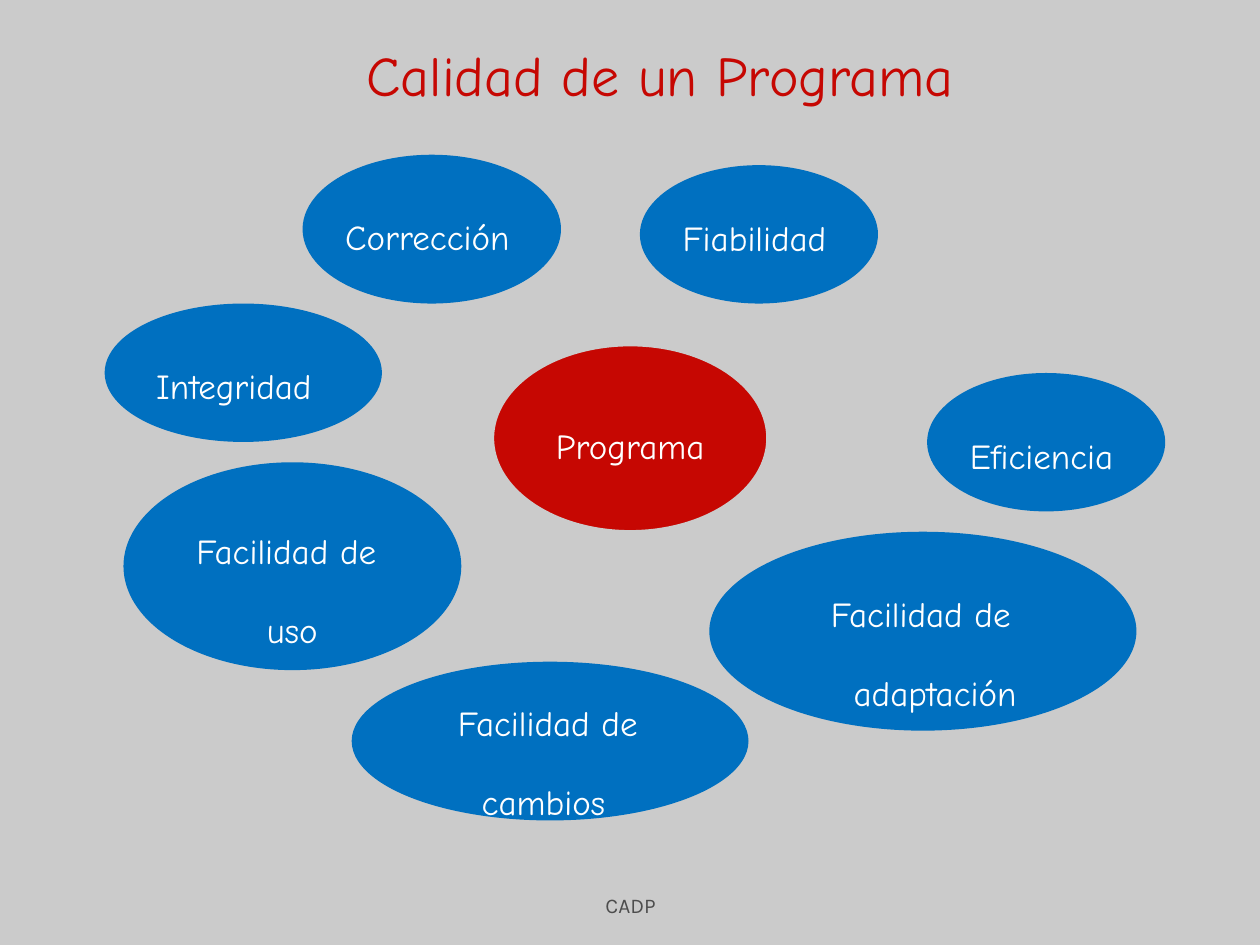
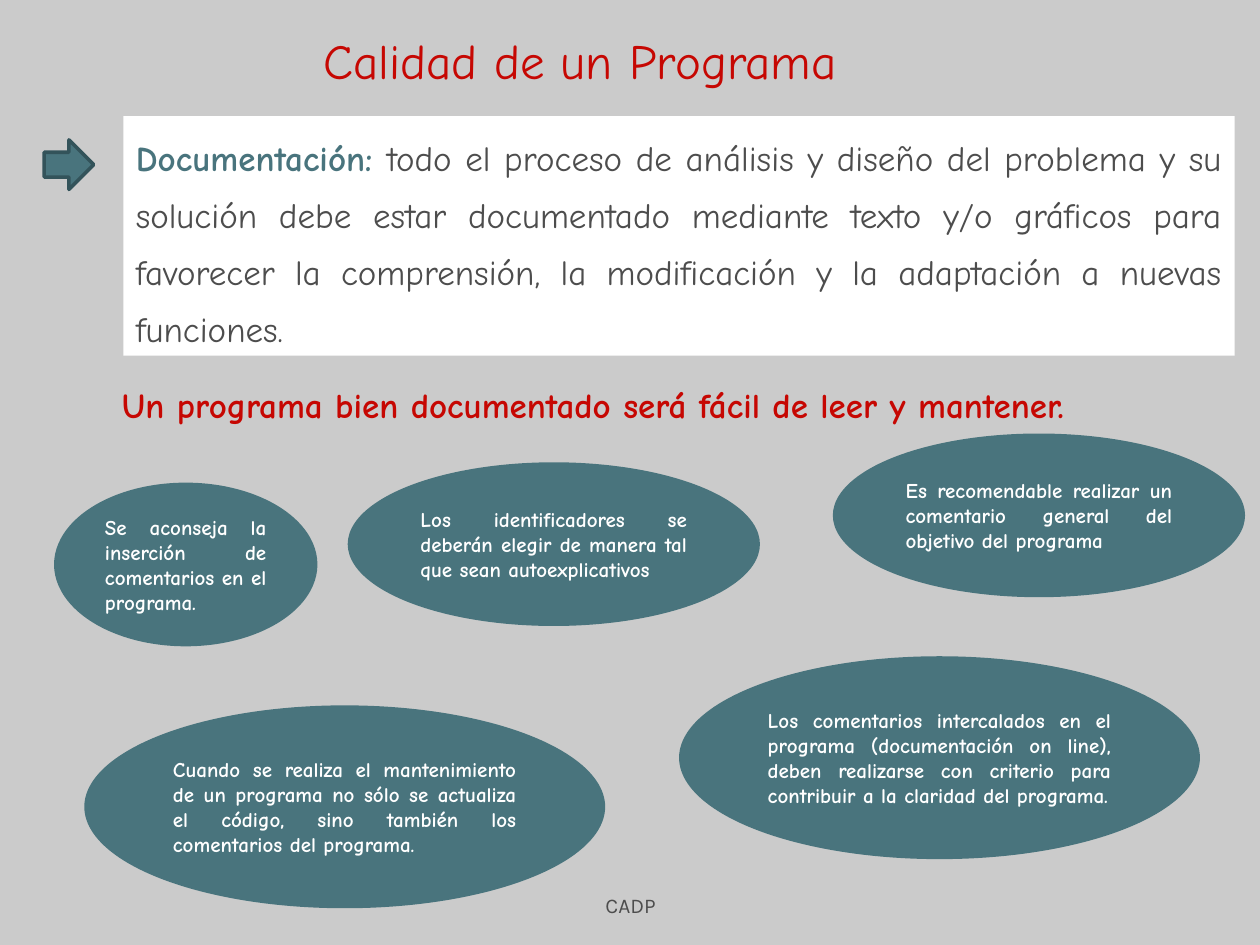
import pptx
import pptx.util
import pptx.dml.color
import pptx.enum.shapes
import pptx.enum.text

Cm = pptx.util.Cm
Pt = pptx.util.Pt
SHAPE = pptx.enum.shapes.MSO_SHAPE
ALIGN = pptx.enum.text.PP_ALIGN
ANCHOR = pptx.enum.text.MSO_ANCHOR
SIZE = pptx.enum.text.MSO_AUTO_SIZE

GRAY, BLUE, RED, TEAL = "CBCBCB", "0070C0", "C60702", "49747D"
DARK, INK, WHITE = "33535A", "4D4D4D", "FFFFFF"
FONT, PLAIN = "Comic Neue", "Karla"
TITLE = "Calidad de un Programa"

TRAITS = [
    ((14.3, 10.72, 8.61, 4.01), (0.99, 0.81, 6.4),
     [("Facilidad de", 1.21), ("adaptación", 1.67)]),
    ((18.69, 7.52, 4.8, 2.79), (0.61, 0.81, 4.6), [("Eficiencia", 0)]),
    ((2.11, 6.12, 5.59, 2.79), (0.79, 0.81, 4.4), [("Integridad", 0)]),
    ((2.49, 9.32, 6.81, 4.19), (1.22, 0.94, 4.6),
     [("Facilidad de", 0), ("uso", 1.42)]),
    ((7.09, 13.34, 8, 3.2), (1.42, 0.38, 5),
     [("Facilidad de", 0.47), ("cambios", 0.95)]),
    ((12.9, 3.33, 4.8, 2.79), (0.61, 0.61, 4.6), [("Fiabilidad", 0)]),
    ((6.1, 3.12, 5.21, 3), (0.61, 0.81, 4.8), [("Corrección", 0)]),
]

TIPS = [
    ((1.09, 9.73, 5.31, 3.3),
     "Se aconseja la inserción de comentarios en el programa."),
    ((7.01, 9.32, 8.31, 3.3),
     "Los identificadores se deberán elegir de manera tal que sean "
     "autoexplicativos"),
    ((16.79, 8.74, 8.31, 3.3),
     "Es recomendable realizar un comentario general del objetivo del "
     "programa"),
    ((1.7, 14.22, 10.5, 4.09),
     "Cuando se realiza el mantenimiento de un programa no sólo se actualiza "
     "el código, sino también los comentarios del programa."),
    ((13.69, 13.23, 10.5, 4.09),
     "Los comentarios intercalados en el programa (documentación on line), "
     "deben realizarse con criterio para contribuir a la claridad del "
     "programa."),
]


def paint(target, color):
    if hasattr(target, "solid"):
        target.solid()
        target = target.fore_color
    target.rgb = pptx.dml.color.RGBColor.from_string(color)


def cms(box):
    return [Cm(n) for n in box]


def set_frame(shape, anchor=ANCHOR.TOP, wrap=True, grow=False):
    frame = shape.text_frame
    frame.word_wrap = wrap
    frame.auto_size = SIZE.SHAPE_TO_FIT_TEXT if grow else SIZE.NONE
    frame.vertical_anchor = anchor
    return frame


def set_para(para, align=ALIGN.JUSTIFY, gap=0, lead=None, left=0):
    para.alignment = align
    para.space_before = Pt(gap)
    if lead:
        para.line_spacing = lead
    if left:
        para._p.get_or_add_pPr().set("marL", str(Cm(left)))
    return para


def add_run(para, text, size, color, bold=False, font=FONT):
    run = para.add_run()
    run.text = text
    run.font.size = Pt(size)
    run.font.name = font
    run.font.bold = bold
    paint(run.font.color, color)


def add_form(slide, kind, box, fill, line=None, width=0):
    form = slide.shapes.add_shape(kind, *cms(box))
    form.shadow.inherit = False
    paint(form.fill, fill)
    if line:
        paint(form.line.fill, line)
        form.line.width = Pt(width)
    else:
        form.line.fill.background()
    return form


def add_title(slide, box, size, anchor, **style):
    title = slide.shapes.title
    title.left, title.top, title.width, title.height = cms(box)
    frame = set_frame(title, anchor)
    add_run(set_para(frame.paragraphs[0], **style), TITLE, size, RED)


def add_foot(slide, box):
    foot = slide.shapes.add_textbox(*cms(box))
    para = set_para(set_frame(foot, ANCHOR.BOTTOM).paragraphs[0], ALIGN.CENTER)
    add_run(para, "CADP", 12, INK, font=PLAIN)


def add_trait(slide, box, inset, lines):
    add_form(slide, SHAPE.OVAL, box, BLUE)
    right, down, width = inset
    place = (box[0] + right, box[1] + down, width, 1.4 + 1.6 * (len(lines) - 1))
    frame = set_frame(slide.shapes.add_textbox(*cms(place)), grow=True)
    for i, (text, left) in enumerate(lines):
        para = frame.add_paragraph() if i else frame.paragraphs[0]
        add_run(set_para(para, gap=12.5, lead=1.35, left=left), text, 20, WHITE)


def add_core(slide, box):
    core = add_form(slide, SHAPE.OVAL, box, RED, GRAY, 3)
    para = set_frame(core, ANCHOR.MIDDLE, wrap=False).paragraphs[0]
    add_run(set_para(para, ALIGN.CENTER, 5, 1.35), "Programa", 20, WHITE)


def add_panel(slide, box):
    left, top, width, height = box
    add_form(slide, SHAPE.RIGHT_ARROW, (left - 1.6, top + 0.48, 1, 1),
             TEAL, DARK, 2)
    panel = add_form(slide, SHAPE.RECTANGLE, box, WHITE)
    para = set_para(set_frame(panel, grow=True).paragraphs[0], gap=5, lead=1.35)
    add_run(para, "Documentación: ", 20, TEAL, True)
    add_run(para, "todo el proceso de análisis y diseño del problema y su "
            "solución debe estar documentado mediante texto y/o gráficos para "
            "favorecer la comprensión, la modificación y la adaptación a "
            "nuevas funciones.", 20, INK)
    note = slide.shapes.add_textbox(
        *cms((left - 0.28, top + height + 0.15, 23.19, 1.4)))
    para = set_para(set_frame(note, grow=True).paragraphs[0], gap=5, lead=1.35)
    add_run(para, "Un programa bien documentado será fácil de leer y mantener.",
            20, RED, True)


def add_tip(slide, box, text):
    tip = add_form(slide, SHAPE.OVAL, box, TEAL)
    para = set_para(set_frame(tip, ANCHOR.MIDDLE).paragraphs[0], gap=3)
    add_run(para, text, 12, WHITE, True)


def new_slide(deck):
    slide = deck.slides.add_slide(deck.slide_layouts[5])
    paint(slide.background.fill, GRAY)
    add_foot(slide, (8.69, 17.35, 8.05, 1.27))
    return slide


def trait_slide(deck):
    slide = new_slide(deck)
    add_title(slide, (3.89, 0.13, 18.85, 2.74), 32, ANCHOR.MIDDLE,
              align=ALIGN.CENTER)
    for trait in TRAITS:
        add_trait(slide, *trait)
    add_core(slide, (9.91, 6.93, 5.59, 3.81))


def tip_slide(deck):
    slide = new_slide(deck)
    add_title(slide, (6.27, 0.13, 18.85, 1.8), 28, ANCHOR.BOTTOM,
              gap=7, lead=1.35)
    add_panel(slide, (2.49, 2.34, 22.4, 4.83))
    for tip in TIPS:
        add_tip(slide, *tip)


def main():
    deck = pptx.Presentation()
    deck.slide_width, deck.slide_height = Cm(25.4), Cm(19.05)
    trait_slide(deck)
    tip_slide(deck)
    deck.save("out.pptx")


if __name__ == "__main__":
    main()
